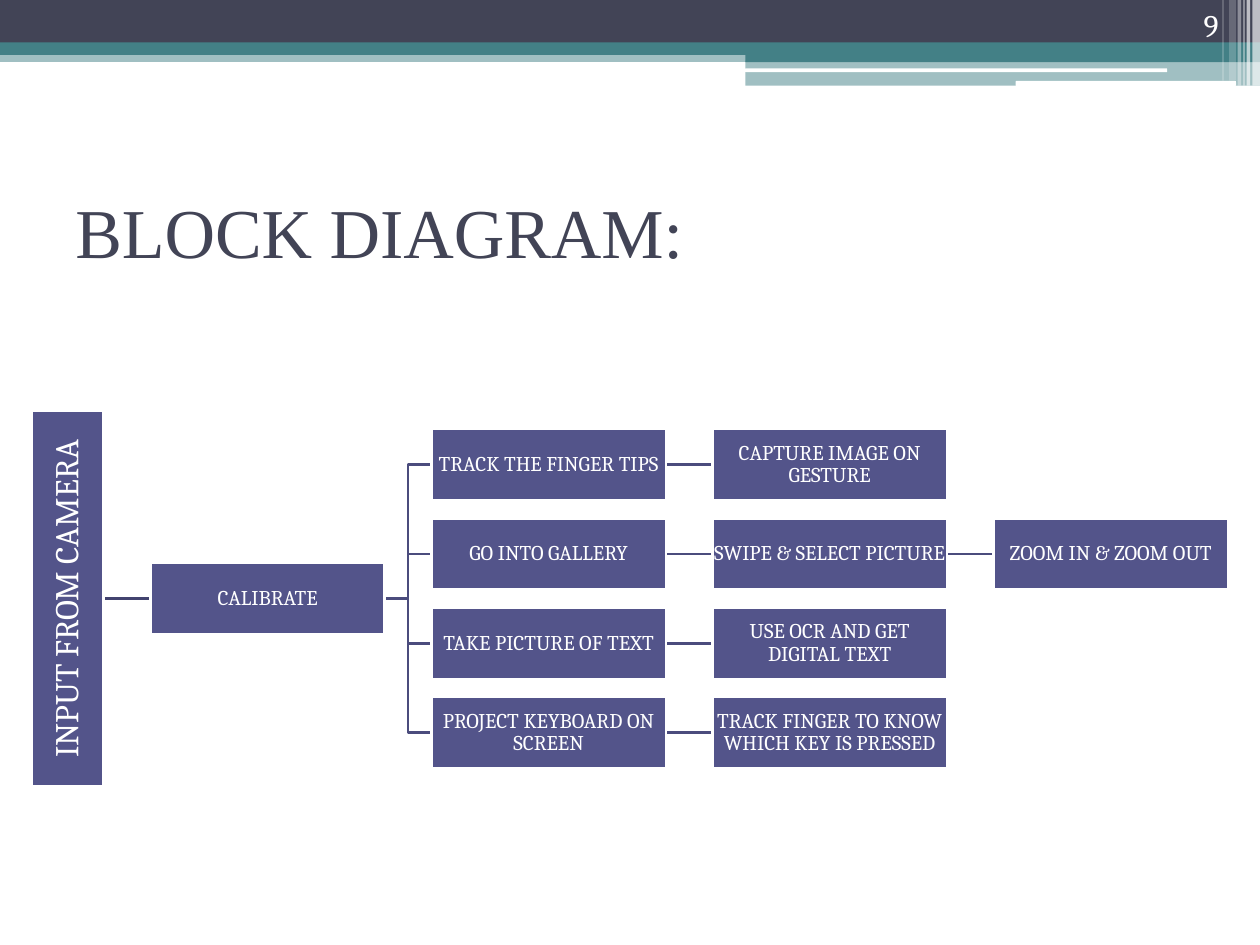
from pptx import Presentation
from pptx.dml.color import RGBColor
from pptx.enum import shapes as kinds, text as txt
from pptx.oxml import parse_xml
from pptx.oxml.ns import nsdecls, qn
from pptx.util import Pt

THEME = {
    "ink": "424456", "teal": "438086", "white": "FFFFFF",
    "box": "53548A", "link": "4B4C7D", "root_link": "42436F",
    "title_font": "Times New Roman", "body_font": "Cambria",
    "title": 40, "number": 18, "root": 19, "step": 12, "line": 1.5,
}

TITLE = "BLOCK DIAGRAM:"
PAGE_NUMBER = "9"
ROOT = "INPUT FROM CAMERA"
HUB = "CALIBRATE"
BRANCHES = [
    ["TRACK THE FINGER TIPS", "CAPTURE IMAGE ON GESTURE"],
    ["GO INTO GALLERY", "SWIPE & SELECT PICTURE", "ZOOM IN & ZOOM OUT"],
    ["TAKE PICTURE OF TEXT", "USE OCR AND GET DIGITAL TEXT"],
    ["PROJECT KEYBOARD ON SCREEN", "TRACK FINGER TO KNOW WHICH KEY IS PRESSED"],
]

# left, top, width, height, colour, opacity in percent
BANDS = [
    (0, 28.8, 720, 6.6, "teal", 50),
    (0, 0, 720, 24.5, "ink", 100),
    (0, 24.2, 720, 7.2, "teal", 100),
    (426, 28.3, 294, 7.2, "teal", 100),
    (426, 34.7, 294, 14.2, "teal", 50),
]
# left, top, width, height
HIGHLIGHTS = [(425.8, 39.1, 241.2, 2.2), (580.3, 46.3, 126, 2.9)]
# left, width, height, opacity in percent
STRIPES = [
    (715.7, 4.3, 49, 65), (712.4, 2, 49, 65), (710.5, 0.7, 49, 60),
    (707.2, 2, 49, 40), (702.3, 4, 46.1, 20), (698.5, 0.7, 46.1, 30),
]

GRID_LEFT, GRID_TOP = 86, 245
COLUMN_PITCH, ROW_PITCH = 160.6, 51.1
BOX_W, BOX_H = 133.9, 40.9
ROOT_LENGTH, ROOT_CENTRE_X = 214.6, 38.6

RECT = kinds.MSO_SHAPE.RECTANGLE
BOTTOM, LEFT, RIGHT = 2, 1, 3


def colour(name):
    return RGBColor.from_string(THEME[name])


def add_block(slide, area, fill, opacity=100, kind=RECT):
    block = slide.shapes.add_shape(kind, *map(Pt, area))
    block.shadow.inherit = False
    block.fill.solid()
    block.fill.fore_color.rgb = colour(fill)
    block.line.fill.background()
    if opacity < 100:
        paint = block.fill._xPr.find(qn("a:solidFill"))[0]
        paint.append(parse_xml(f'<a:alpha {nsdecls("a")} val="{opacity * 1000}"/>'))
    return block


def write(holder, words, size, font="body_font", ink="white", align="CENTER",
          anchor="MIDDLE", inset=None, spacing=None):
    frame = holder.text_frame
    frame.word_wrap = True
    frame.vertical_anchor = getattr(txt.MSO_ANCHOR, anchor)
    if inset is not None:
        for side in ("left", "top", "right", "bottom"):
            setattr(frame, f"margin_{side}", Pt(inset))
    line = frame.paragraphs[0]
    line.alignment = getattr(txt.PP_ALIGN, align)
    line.line_spacing = spacing
    run = line.add_run()
    run.text = words
    look = {"size": Pt(THEME[size]), "name": THEME[font]}
    for key, value in look.items():
        setattr(run.font, key, value)
    run.font.color.rgb = colour(ink)


def add_step(slide, words, column, row):
    area = (GRID_LEFT + column * COLUMN_PITCH, GRID_TOP + row * ROW_PITCH, BOX_W, BOX_H)
    return add_box(slide, words, area, "step")


def add_box(slide, words, area, size):
    box = add_block(slide, area, "box")
    box.line.color.rgb = colour("white")
    box.line.width = Pt(THEME["line"])
    write(box, words, size, inset=0.6, spacing=0.9)
    return box


def join(slide, start, end, backmost, style="STRAIGHT", ink="link", start_side=RIGHT):
    """Link two boxes, placing the line behind the backmost box."""
    link = slide.shapes.add_connector(getattr(kinds.MSO_CONNECTOR, style), 0, 0, 0, 0)
    link.begin_connect(start, start_side)
    link.end_connect(end, LEFT)
    link.line.color.rgb = colour(ink)
    link.line.width = Pt(THEME["line"])
    link._element.spPr.append(parse_xml(f'<a:effectLst {nsdecls("a")}/>'))
    backmost._element.addprevious(link._element)
    return link


def add_header(slide):
    for *area, fill, opacity in BANDS:
        add_block(slide, area, fill, opacity)
    for area in HIGHLIGHTS:
        add_block(slide, area, "white", kind=kinds.MSO_SHAPE.ROUNDED_RECTANGLE)
    for left, width, height, opacity in STRIPES:
        add_block(slide, (left, 0, width, height), "white", opacity)
    title = slide.shapes.add_textbox(*map(Pt, (36, 90, 648, 84)))
    write(title, TITLE, "title", "title_font", "ink", "LEFT")
    number = slide.shapes.add_textbox(*map(Pt, (643.7, 0, 59.8, 28.8)))
    write(number, PAGE_NUMBER, "number", align="RIGHT", anchor="BOTTOM")


def add_diagram(slide):
    middle_row = (len(BRANCHES) - 1) / 2
    centre_y = GRID_TOP + middle_row * ROW_PITCH + BOX_H / 2
    root_area = (ROOT_CENTRE_X - ROOT_LENGTH / 2, centre_y - BOX_H / 2, ROOT_LENGTH, BOX_H)
    root = add_box(slide, ROOT, root_area, "root")
    root.rotation = 270
    hub = add_step(slide, HUB, 0, middle_row)

    # The turned box has its bottom side on the right.
    trunk = join(slide, root, hub, root, ink="root_link", start_side=BOTTOM)
    trunk.begin_x, trunk.begin_y = Pt(ROOT_CENTRE_X + BOX_H / 2), trunk.end_y

    for row, branch in enumerate(BRANCHES):
        previous, style = hub, "ELBOW"
        for column, words in enumerate(branch, 1):
            step = add_step(slide, words, column, row)
            join(slide, previous, step, root, style)
            previous, style = step, "STRAIGHT"


def main():
    deck = Presentation()
    deck.slide_width, deck.slide_height = Pt(720), Pt(540)
    slide = deck.slides.add_slide(deck.slide_layouts[6])
    add_header(slide)
    add_diagram(slide)
    deck.save("out.pptx")


if __name__ == "__main__":
    main()
